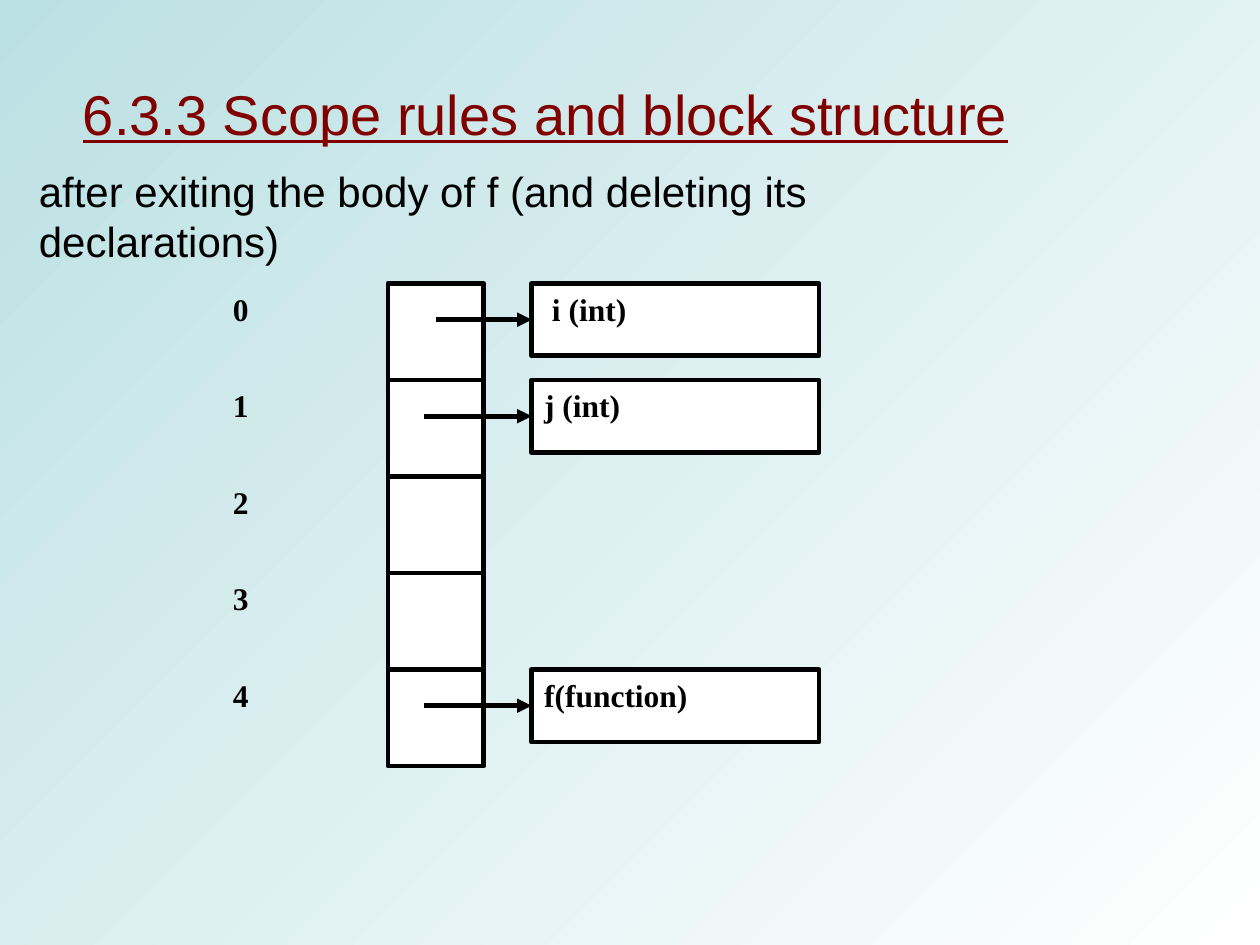
from pptx import Presentation
from pptx.dml.color import RGBColor
from pptx.enum.shapes import MSO_CONNECTOR, MSO_SHAPE
from pptx.enum.text import MSO_ANCHOR, PP_ALIGN
from pptx.oxml.ns import qn
from pptx.util import Inches, Pt
from lxml import etree

RECT, STRAIGHT = MSO_SHAPE.RECTANGLE, MSO_CONNECTOR.STRAIGHT
TOP, MIDDLE = MSO_ANCHOR.TOP, MSO_ANCHOR.MIDDLE
LEFT, JUSTIFY = PP_ALIGN.LEFT, PP_ALIGN.JUSTIFY
LEFT_SIDE = 1

# Grid of the symbol table: its origin is the top left corner of bucket 0.
GRID_X, GRID_Y = 3.08, 2.25
COL, ROW = 0.38, 3.83 / 5
ENTRY_ROWS = 0.75


def rgb(value):
    return RGBColor.from_string(value)


def write(s, text, size=18, font="Times New Roman", color="000000", bold=False,
          underline=False, align=JUSTIFY, anchor=TOP):
    tf = s.text_frame
    tf.word_wrap = True
    tf.vertical_anchor = anchor
    p = tf.paragraphs[0]
    p.alignment = align
    r = p.add_run()
    r.text = text
    r.font.size, r.font.name = Pt(size), font
    r.font.bold, r.font.underline = bold, underline
    r.font.color.rgb = rgb(color)


class Diagram:
    """Style and current slide; places are columns and rows of the grid."""
    ink, paper, weight = "000000", "FFFFFF", 2.75

    def __init__(self, prs):
        self.slide = prs.slides.add_slide(prs.slide_layouts[6])
        self.shapes = self.slide.shapes

    def background(self, start, end):
        fill = self.slide.background.fill
        fill.gradient()
        fill.gradient_angle = 315
        for stop, color in zip(fill.gradient_stops, (start, end)):
            stop.color.rgb = rgb(color)

    def at(self, col, row):
        return Inches(GRID_X + col * COL), Inches(GRID_Y + row * ROW)

    def heading(self, text, left, top, width, height, **fmt):
        """Text box placed in inches, outside the grid."""
        sp = self.shapes.add_textbox(*map(Inches, (left, top, width, height)))
        write(sp, text, font="Arial", align=LEFT, anchor=MIDDLE, **fmt)

    def label(self, text, col, row, cols, rows):
        sp = self.shapes.add_textbox(*self.at(col, row), Inches(cols * COL), Inches(rows * ROW))
        write(sp, text, bold=True)

    def box(self, col, row, cols, rows, text=None):
        sp = self.shapes.add_shape(RECT, *self.at(col, row), Inches(cols * COL), Inches(rows * ROW))
        sp.shadow.inherit = False
        sp.fill.solid()
        sp.fill.fore_color.rgb = rgb(self.paper)
        sp.line.color.rgb = rgb(self.ink)
        sp.line.width = Pt(self.weight)
        if text:
            write(sp, text, bold=True)
        return sp

    def arrow(self, col, row, target):
        """Arrow from a grid point to the left side of the target box."""
        x, y = self.at(col, row)
        s = self.shapes.add_connector(STRAIGHT, x, y, target.left, y)
        s.end_connect(target, LEFT_SIDE)
        s.line.color.rgb = rgb(self.ink)
        s.line.width = Pt(self.weight)
        etree.SubElement(s.line._get_or_add_ln(), qn("a:tailEnd"), type="triangle")
        etree.SubElement(s._element.spPr, qn("a:effectLst"))


def main():
    prs = Presentation()
    prs.slide_width, prs.slide_height = Inches(10), Inches(7.5)
    d = Diagram(prs)
    d.background("BBE0E3", "FFFFFF")
    d.heading("after exiting the body of f (and deleting its declarations)",
              0.21, 1.42, 8.25, 0.58, size=24)

    # Bucket number: text of its entry, column where the arrow starts
    entries = {0: (" i (int)", 1), 1: ("j (int)", 0.75), 4: ("f(function)", 0.75)}
    for row in range(5):
        d.box(0, row, 2, 1)
        d.label(str(row), -3.5, row, 2, ENTRY_ROWS)
        if row in entries:
            text, start = entries[row]
            entry = d.box(3, row, 6, ENTRY_ROWS, text)
            d.arrow(start, row + ENTRY_ROWS / 2, entry)

    d.heading("6.3.3 Scope rules and block structure", 0.56, 0.58, 7.67, 0.64,
              size=32, color="800000", underline=True)
    prs.save("out.pptx")


if __name__ == "__main__":
    main()
